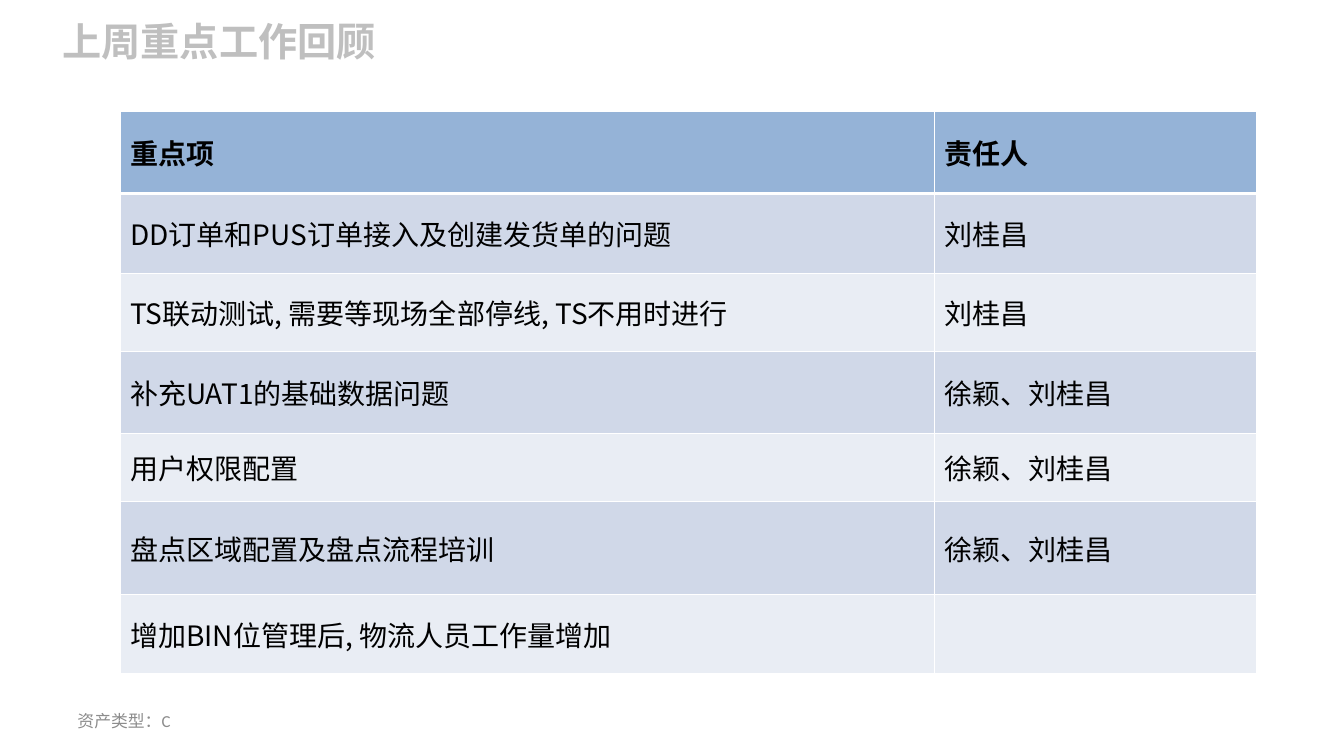
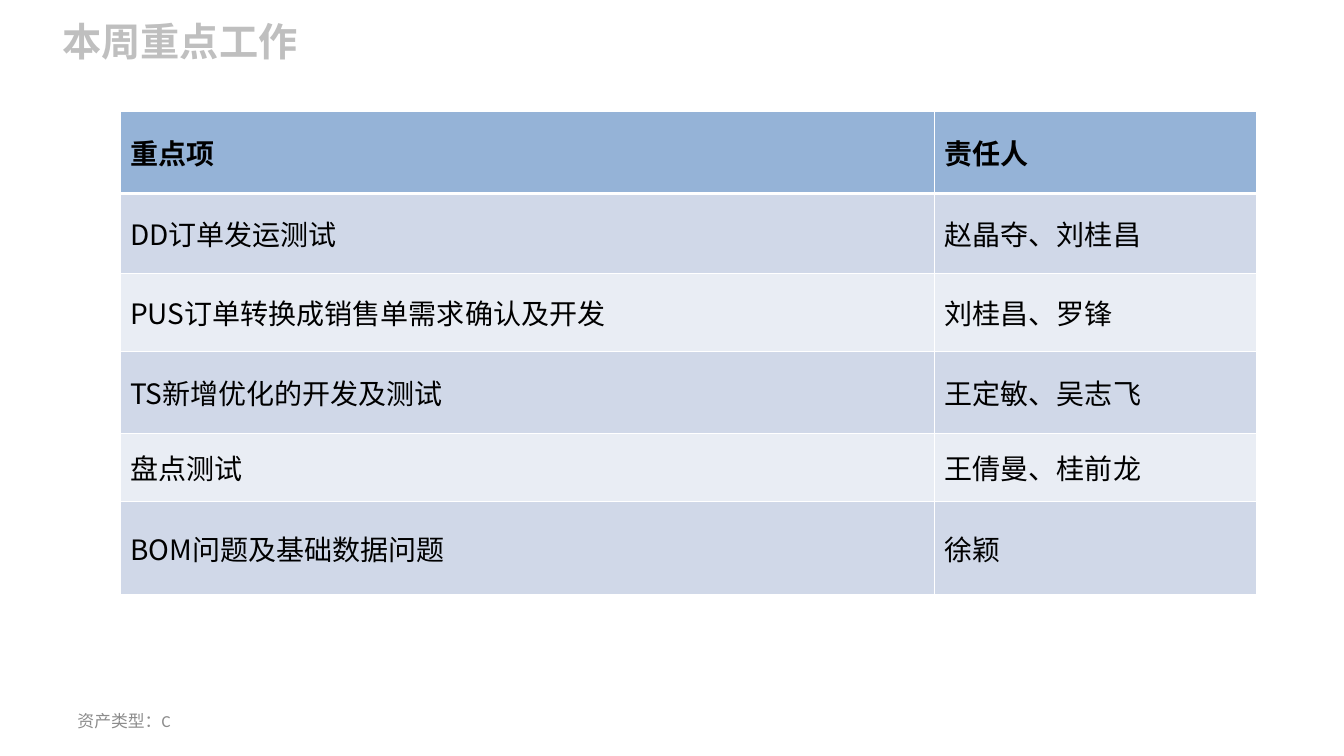
from dataclasses import dataclass

from lxml.etree import SubElement
from pptx import Presentation
from pptx.dml.color import RGBColor
from pptx.enum.text import MSO_ANCHOR, MSO_AUTO_SIZE, PP_ALIGN
from pptx.oxml.ns import qn
from pptx.util import Emu, Pt

# Shared look
EMU_PER_PX = 9144  # 100 px to the inch
CJK_FONT = "Noto Sans CJK SC"
LATIN_FONT = "Calibri"
TITLE_GREY, FOOTER_GREY = "BFBFBF", "8C8C8C"
BLACK, WHITE = "000000", "FFFFFF"
HEADER_FILL = "95B3D7"
BAND_FILLS = ("D0D8E8", "E9EDF4")

TITLE_BOX = (52, 12, 998, 57)
FOOTER_BOX = (67, 695, 311, 40)
TABLE_ORIGIN = (119, 111)
COLUMN_WIDTHS = (808, 319)
ROW_HEIGHTS = (81, 79, 78, 81, 68, 92, 78)
HEADINGS = ("重点项", "责任人")
FOOTER = "资产类型：C"


@dataclass(frozen=True)
class Task:
    item: str
    owner: str = ""


@dataclass(frozen=True)
class WeekPage:
    title: str
    tasks: tuple[Task, ...]


PAGES = (
    WeekPage("上周重点工作回顾", (
        Task("DD订单和PUS订单接入及创建发货单的问题", "刘桂昌"),
        Task("TS联动测试, 需要等现场全部停线, TS不用时进行", "刘桂昌"),
        Task("补充UAT1的基础数据问题", "徐颖、刘桂昌"),
        Task("用户权限配置", "徐颖、刘桂昌"),
        Task("盘点区域配置及盘点流程培训", "徐颖、刘桂昌"),
        Task("增加BIN位管理后, 物流人员工作量增加"),
    )),
    WeekPage("本周重点工作", (
        Task("DD订单发运测试", "赵晶夺、刘桂昌"),
        Task("PUS订单转换成销售单需求确认及开发", "刘桂昌、罗锋"),
        Task("TS新增优化的开发及测试", "王定敏、吴志飞"),
        Task("盘点测试", "王倩曼、桂前龙"),
        Task("BOM问题及基础数据问题", "徐颖"),
    )),
)


def px(length: int) -> Emu:
    return Emu(length * EMU_PER_PX)


def color(hex_code: str) -> RGBColor:
    return RGBColor.from_string(hex_code)


def set_text(frame, text: str, size: int, font_name: str, hex_code: str,
             bold: bool = False) -> None:
    frame.text = text
    frame.word_wrap = True
    paragraph = frame.paragraphs[0]
    paragraph.alignment = PP_ALIGN.LEFT
    for run in paragraph.runs:
        run.font.size = Pt(size)
        run.font.bold = bold
        run.font.name = font_name
        run.font.color.rgb = color(hex_code)
        SubElement(run.font._element, qn("a:ea"), typeface=CJK_FONT)


def set_borders(cell, top: int, bottom: int) -> None:
    """Draw white cell borders; widths are in points and sides are 1 pt."""
    properties = cell._tc.get_or_add_tcPr()
    sides = (("a:lnL", 1), ("a:lnR", 1), ("a:lnT", top), ("a:lnB", bottom))
    for position, (tag, width) in enumerate(sides):
        line = properties.makeelement(qn(tag), {"w": str(Pt(width))})
        properties.insert(position, line)
        fill = SubElement(line, qn("a:solidFill"))
        SubElement(fill, qn("a:srgbClr"), val=WHITE)


def add_title(slide, text: str) -> None:
    title = slide.shapes.title
    title.left, title.top, title.width, title.height = map(px, TITLE_BOX)
    frame = title.text_frame
    set_text(frame, text, 28, LATIN_FONT, TITLE_GREY, bold=True)
    frame.vertical_anchor = MSO_ANCHOR.TOP
    frame.auto_size = MSO_AUTO_SIZE.SHAPE_TO_FIT_TEXT


def add_footer(slide) -> None:
    frame = slide.shapes.add_textbox(*map(px, FOOTER_BOX)).text_frame
    set_text(frame, FOOTER, 12, LATIN_FONT, FOOTER_GREY)
    frame.vertical_anchor = MSO_ANCHOR.MIDDLE


def add_task_table(slide, tasks: tuple[Task, ...]) -> None:
    rows = [HEADINGS] + [(task.item, task.owner) for task in tasks]
    heights = ROW_HEIGHTS[:len(rows)]
    table = slide.shapes.add_table(
        len(rows), len(HEADINGS), *map(px, TABLE_ORIGIN),
        px(sum(COLUMN_WIDTHS)), px(sum(heights))).table
    table.horz_banding = False
    for column, width in zip(table.columns, COLUMN_WIDTHS):
        column.width = px(width)

    for row_index, (texts, height) in enumerate(zip(rows, heights)):
        table.rows[row_index].height = px(height)
        is_header = row_index == 0
        fill = HEADER_FILL if is_header else BAND_FILLS[(row_index - 1) % 2]
        for column_index, text in enumerate(texts):
            cell = table.cell(row_index, column_index)
            set_text(cell.text_frame, text, 20, CJK_FONT, BLACK, is_header)
            cell.vertical_anchor = MSO_ANCHOR.MIDDLE
            cell.fill.solid()
            cell.fill.fore_color.rgb = color(fill)
            # The rule under the header is shared with the first task row
            set_borders(cell, top=3 if row_index == 1 else 1,
                        bottom=3 if is_header else 1)


def main() -> None:
    deck = Presentation()
    deck.slide_width, deck.slide_height = px(1333), px(750)
    title_only = deck.slide_layouts.get_by_name("Title Only")
    for page in PAGES:
        slide = deck.slides.add_slide(title_only)
        add_title(slide, page.title)
        add_footer(slide)
        add_task_table(slide, page.tasks)
    deck.save("out.pptx")


if __name__ == "__main__":
    main()
